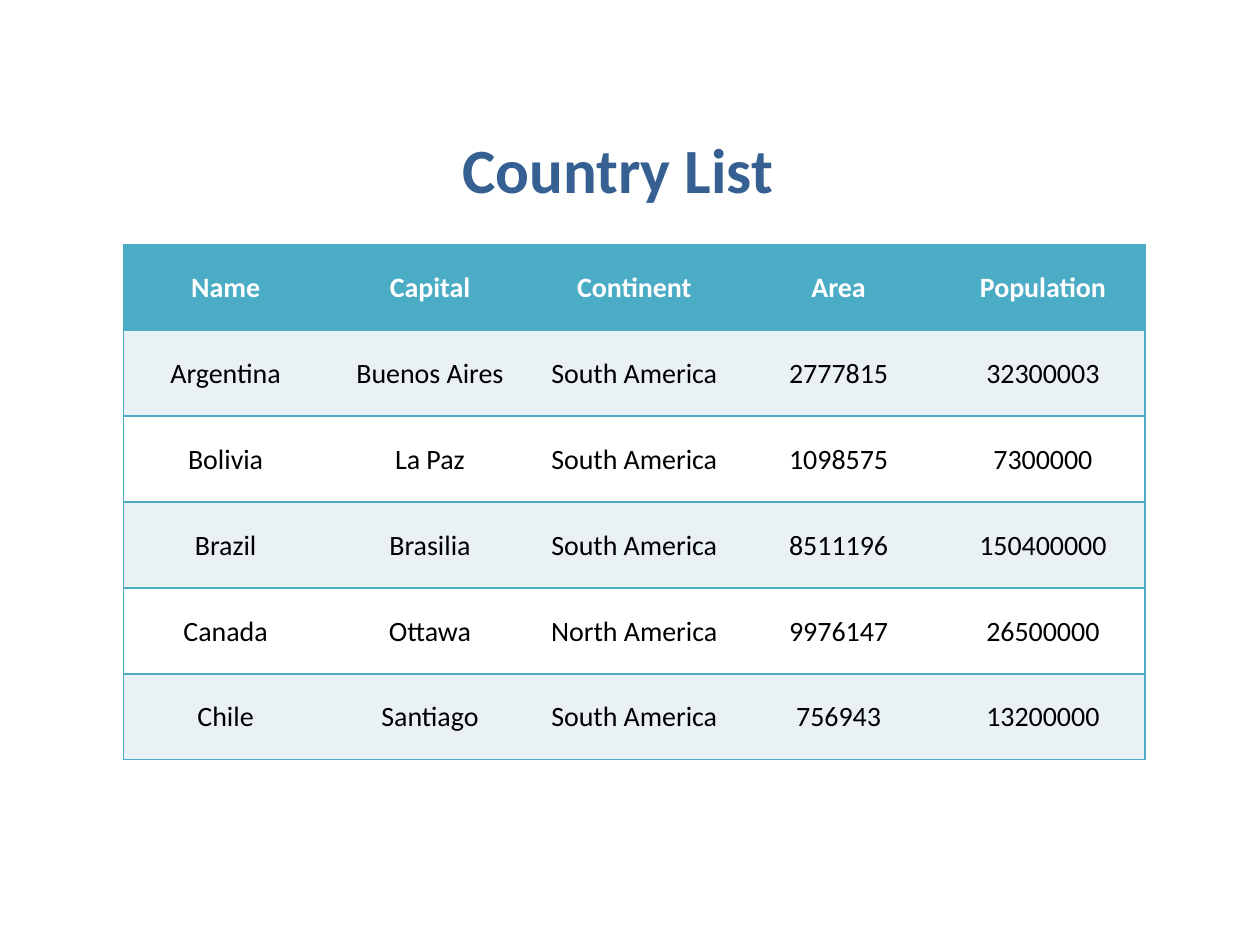
from dataclasses import dataclass

from lxml import etree
from pptx import Presentation
from pptx import util as u
from pptx.dml.color import RGBColor
from pptx.enum import text as t
from pptx.oxml import ns


@dataclass(frozen=True)
class Theme:
    font: str = "Calibri"
    title: str = "376092"
    accent: str = "4BACC6"
    band: str = "E9F1F5"
    white: str = "FFFFFF"
    black: str = "000000"
    big: int = 36
    body: int = 16
    line: int = 1


THEME = Theme()

ROWS = [
    ("Name", "Capital", "Continent", "Area", "Population"),
    ("Argentina", "Buenos Aires", "South America", "2777815", "32300003"),
    ("Bolivia", "La Paz", "South America", "1098575", "7300000"),
    ("Brazil", "Brasilia", "South America", "8511196", "150400000"),
    ("Canada", "Ottawa", "North America", "9976147", "26500000"),
    ("Chile", "Santiago", "South America", "756943", "13200000"),
]


def write(frame, words, size=THEME.body, color=THEME.black, bold=False):
    """Put one centred line of text in a frame."""
    para = frame.paragraphs[0]
    para.alignment = t.PP_ALIGN.CENTER
    run = para.add_run()
    run.text = words
    run.font.name = THEME.font
    run.font.size = u.Pt(size)
    run.font.bold = bold
    run.font.color.rgb = RGBColor.from_string(color)


def edge(cell, side, shown):
    """Draw or hide one border; call before the cell gets its fill."""
    props = cell._tc.get_or_add_tcPr()
    line = etree.SubElement(props, ns.qn(f"a:ln{side}"))
    if shown:
        line.set("w", str(u.Pt(THEME.line)))
        fill = etree.SubElement(line, ns.qn("a:solidFill"))
        etree.SubElement(fill, ns.qn("a:srgbClr"), val=THEME.accent)
    else:
        line.set("w", "0")
        etree.SubElement(line, ns.qn("a:noFill"))


def add_title(slide):
    box = slide.shapes.add_textbox(
        u.Inches(3.11), u.Inches(0.99), u.Inches(3.7), u.Inches(0.71))
    box.text_frame.word_wrap = True
    write(box.text_frame, "Country List ", size=THEME.big,
          color=THEME.title, bold=True)


def style(cell, row, col, last):
    # Only the outer sides and the row rules show
    for side, shown in (("L", col == 0), ("R", col == last),
                        ("T", True), ("B", True)):
        edge(cell, side, shown)
    cell.margin_left = cell.margin_right = cell.margin_top = u.Inches(0.01)
    cell.margin_bottom = 0
    cell.vertical_anchor = t.MSO_ANCHOR.MIDDLE
    # Header colour, then alternate bands
    tint = THEME.band if row % 2 else THEME.white
    cell.fill.solid()
    cell.fill.fore_color.rgb = RGBColor.from_string(
        tint if row else THEME.accent)


def add_grid(slide):
    count = len(ROWS[0])
    grid = slide.shapes.add_table(
        len(ROWS), count, u.Inches(0.98), u.Inches(1.94),
        u.Inches(8.11), u.Inches(4.09)).table
    for row, words in enumerate(ROWS):
        head = row == 0
        for col, word in enumerate(words):
            cell = grid.cell(row, col)
            style(cell, row, col, count - 1)
            write(cell.text_frame, word, bold=head,
                  color=THEME.white if head else THEME.black)


def main():
    deck = Presentation()
    deck.slide_width, deck.slide_height = u.Inches(10), u.Inches(7.5)
    slide = deck.slides.add_slide(deck.slide_layouts[6])
    add_grid(slide)
    add_title(slide)
    deck.save("out.pptx")


if __name__ == "__main__":
    main()
